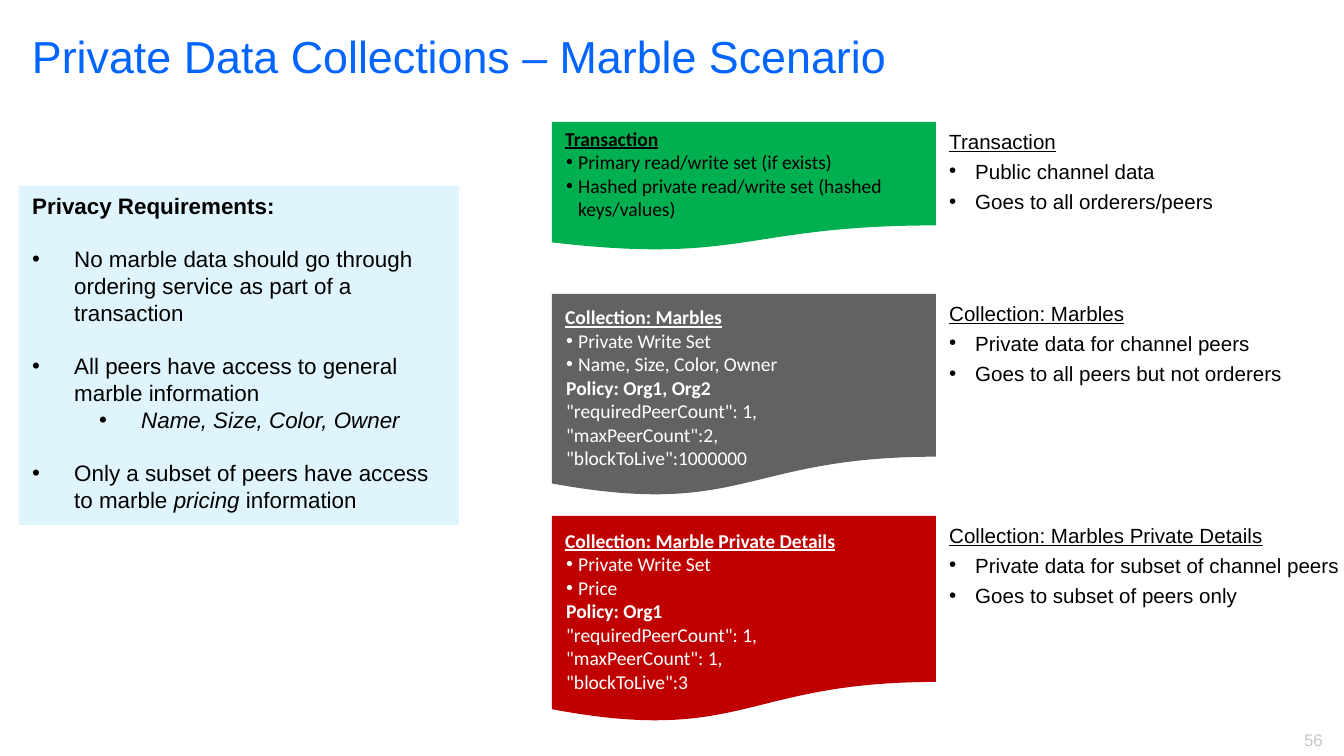
from lxml import etree
from pptx import Presentation
from pptx.dml.color import RGBColor
from pptx.enum.shapes import MSO_SHAPE
from pptx.enum.text import MSO_ANCHOR, PP_ALIGN
from pptx.oxml.ns import qn
from pptx.util import Pt

PX = 9144000 / 1344
DOCUMENT = MSO_SHAPE.FLOWCHART_DOCUMENT
RECTANGLE = MSO_SHAPE.RECTANGLE
TOP, MIDDLE = MSO_ANCHOR.TOP, MSO_ANCHOR.MIDDLE
LEFT, RIGHT = PP_ALIGN.LEFT, PP_ALIGN.RIGHT

BLACK = RGBColor(0x00, 0x00, 0x00)
WHITE = RGBColor(0xFF, 0xFF, 0xFF)
BLUE = RGBColor(0x00, 0x64, 0xFF)
PALE_BLUE = RGBColor(0xDF, 0xF4, 0xFC)
GREEN = RGBColor(0x00, 0xB0, 0x50)
GRAY = RGBColor(0x62, 0x62, 0x62)
RED = RGBColor(0xC0, 0x00, 0x00)
LIGHT_GRAY = RGBColor(0xC6, 0xC6, 0xC6)


def px(length):
    return round(length * PX)


def add_text(frame, text, size, color=BLACK, font="Arial", bold=False, underline=False,
             align=LEFT, before=0, indent=0, hanging=0, level=0):
    paragraph = frame.paragraphs[0]
    if paragraph.runs:
        paragraph = frame.add_paragraph()
    paragraph.alignment = align
    paragraph.level = level
    paragraph.space_before = Pt(before)
    properties = paragraph._p.get_or_add_pPr()
    properties.set("marL", str(px(indent)))
    properties.set("indent", str(-px(hanging)))
    if hanging:
        etree.SubElement(properties, qn("a:buFont")).set("typeface", "Arial")
        etree.SubElement(properties, qn("a:buChar")).set("char", "•")
    for position, part in enumerate(text.split("_")):
        if part:
            run = paragraph.add_run()
            run.text = part
            run.font.name = font
            run.font.size = Pt(size)
            run.font.color.rgb = color
            run.font.bold = bold
            run.font.underline = underline
            run.font.italic = position % 2 == 1


presentation = Presentation()
presentation.slide_width = px(1344)
presentation.slide_height = px(756)
slide = presentation.slides.add_slide(presentation.slide_layouts[6])
shapes = slide.shapes

title = shapes.add_textbox(px(19), px(22), px(1142), px(72)).text_frame
title.word_wrap = True
title.margin_left = px(13)
add_text(title, "Private Data Collections – Marble Scenario", 24, BLUE)

page_number = shapes.add_textbox(px(1258), px(723), px(78), px(33)).text_frame
page_number.word_wrap = True
add_text(page_number, "56", 9, LIGHT_GRAY, align=RIGHT)

requirements_box = shapes.add_shape(RECTANGLE, px(19), px(186), px(440), px(339))
requirements_box.shadow.inherit = False
requirements_box.fill.solid()
requirements_box.fill.fore_color.rgb = PALE_BLUE
requirements_box.line.fill.background()
requirements = requirements_box.text_frame
requirements.word_wrap = True
requirements.vertical_anchor = TOP
add_text(requirements, "Privacy Requirements:", 12, bold=True)
for requirement, level, gap in [
    ("No marble data should go through ordering service as part of a transaction", 0, 14),
    ("All peers have access to general marble information", 0, 14),
    ("_Name, Size, Color, Owner_", 1, 0),
    ("Only a subset of peers have access to marble _pricing_ information", 0, 14),
]:
    add_text(requirements, requirement, 12, before=gap, level=level,
             indent=42 + 67 * level, hanging=42)

records = [
    (122, 129, 0, GREEN, BLACK, "Transaction",
     ["Primary read/write set (if exists)",
      "Hashed private read/write set (hashed keys/values)"],
     [],
     "Transaction", ["Public channel data", "Goes to all orderers/peers"]),
    (294, 203, 24, GRAY, WHITE, "Collection: Marbles",
     ["Private Write Set", "Name, Size, Color, Owner"],
     ["Policy: Org1, Org2", '"requiredPeerCount": 1,', '"maxPeerCount":2,',
      '"blockToLive":1000000'],
     "Collection: Marbles",
     ["Private data for channel peers", "Goes to all peers but not orderers"]),
    (516, 207, 24, RED, WHITE, "Collection: Marble Private Details",
     ["Private Write Set", "Price"],
     ["Policy: Org1", '"requiredPeerCount": 1,', '"maxPeerCount": 1,',
      '"blockToLive":3'],
     "Collection: Marbles Private Details",
     ["Private data for subset of channel peers", "Goes to subset of peers only"]),
]

for top, height, inset, fill, color, heading, contents, policy, summary, notes in records:
    document = shapes.add_shape(DOCUMENT, px(552), px(top), px(384), px(height))
    document.shadow.inherit = False
    document.fill.solid()
    document.fill.fore_color.rgb = fill
    document.line.fill.background()
    record = document.text_frame
    record.word_wrap = True
    record.vertical_anchor = MIDDLE
    record.margin_top = px(inset)
    record.margin_bottom = 0
    add_text(record, heading, 10.5, color, "Calibri", bold=True, underline=True)
    for content in contents:
        add_text(record, content, 10.5, color, "Calibri", level=1, indent=13, hanging=12)
    for order, setting in enumerate(policy):
        add_text(record, setting, 10.5, color, "Calibri", bold=order == 0, level=1, indent=1)

    explanation = shapes.add_textbox(px(936), px(top), px(408), px(98)).text_frame
    explanation.word_wrap = True
    explanation.margin_right = 0
    add_text(explanation, summary, 11, underline=True)
    for note in notes:
        add_text(explanation, note, 11, before=2.9, indent=26, hanging=26)

presentation.save("out.pptx")
